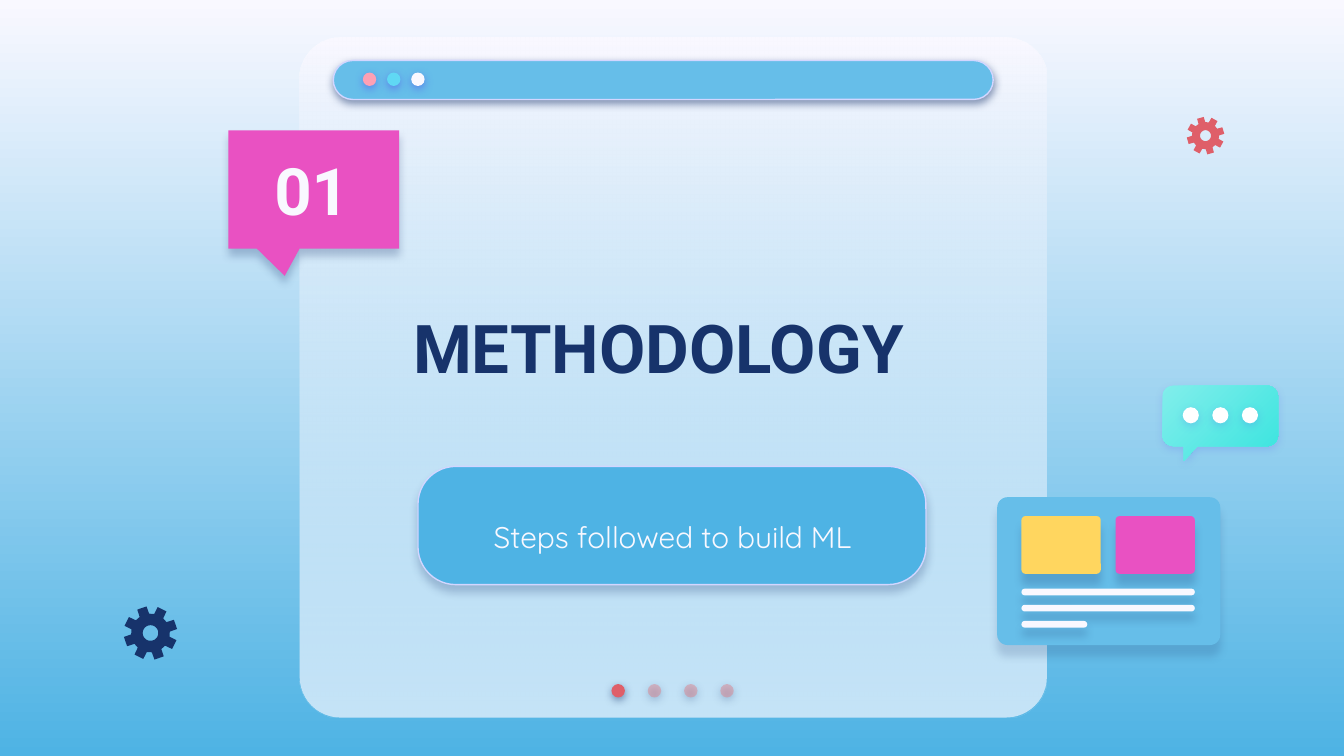
from math import cos, radians, sin

from lxml import etree
from pptx import Presentation
from pptx.dml.color import RGBColor
from pptx.enum.shapes import MSO_SHAPE
from pptx.enum.text import MSO_ANCHOR, MSO_AUTO_SIZE, PP_ALIGN
from pptx.oxml.ns import qn
from pptx.util import Inches, Pt

ROUNDED = MSO_SHAPE.ROUNDED_RECTANGLE
CALLOUT = MSO_SHAPE.ROUNDED_RECTANGULAR_CALLOUT
OVAL = MSO_SHAPE.OVAL
MIDDLE = MSO_ANCHOR.MIDDLE
BOTTOM = MSO_ANCHOR.BOTTOM
CENTER = PP_ALIGN.CENTER
FIXED = MSO_AUTO_SIZE.NONE

WHITE = "F9F8FF"
NAVY = "17336B"
SKY = "66BEE9"
BLUE = "4EB3E4"
RED = "DF5F69"
FADED_RED = "E27B83"
PINK = "E951C2"
VIOLET = "5352EE"


def color(value):
    return RGBColor.from_string(value)


def set_alpha(element, percent):
    for node in element.iter(qn("a:srgbClr")):
        etree.SubElement(node, qn("a:alpha"), val=str(percent * 1000))


def set_gradient(fill, start, end, angle=90):
    fill.gradient()
    fill.gradient_angle = 360 - angle
    for stop, value, position in zip(fill.gradient_stops, (start, end), (0, 1)):
        stop.color.rgb = color(value)
        stop.position = position


def write(frame, text, font, size, value, bold=False, anchor=MIDDLE):
    frame.auto_size = FIXED
    frame.word_wrap = True
    frame.vertical_anchor = anchor
    frame.margin_left = frame.margin_right = Inches(0.1)
    frame.margin_top = frame.margin_bottom = Inches(0.1)
    para = frame.paragraphs[0]
    para.alignment = CENTER
    span = para.add_run()
    span.text = text
    span.font.name = font
    span.font.size = Pt(size)
    span.font.bold = bold
    span.font.color.rgb = color(value)


def polar(center_x, center_y, radius, angle):
    turn = radians(angle)
    return center_x + radius * cos(turn), center_y + radius * sin(turn)


def arc(center_x, center_y, radius, start, end, steps=8):
    return [polar(center_x, center_y, radius, start + (end - start) * step / steps)
            for step in range(steps + 1)]


class Slide:
    """Hold the style and the current slide, with a method per element."""

    def __init__(self, deck):
        self.page = deck.slides.add_slide(deck.slide_layouts[5])
        self.shapes = self.page.shapes
        set_gradient(self.page.background.fill, WHITE, BLUE)

    def finish(self, shape, fill, line=None, shadow=None, alpha=None):
        if isinstance(fill, tuple):
            set_gradient(shape.fill, *fill)
        else:
            shape.fill.solid()
            shape.fill.fore_color.rgb = color(fill)
        if alpha is not None:
            set_alpha(shape.element.spPr.find(qn("a:solidFill")), alpha)
        if line:
            shape.line.color.rgb = color(line)
            shape.line.width = Pt(0.75)
        else:
            shape.line.fill.background()
        shape.shadow.inherit = False
        if shadow:
            value, percent, distance = shadow
            effects = shape.element.spPr.find(qn("a:effectLst"))
            outer = etree.SubElement(
                effects, qn("a:outerShdw"), blurRad=str(Pt(4.5)),
                dist=str(Pt(distance)), dir="5400000", algn="bl", rotWithShape="0")
            etree.SubElement(outer, qn("a:srgbClr"), val=value)
            set_alpha(outer, percent)
        return shape

    def preset(self, kind, left, top, width, height, fill, adjust=(), **style):
        shape = self.shapes.add_shape(
            kind, Inches(left), Inches(top), Inches(width), Inches(height))
        for index, value in enumerate(adjust):
            shape.adjustments[index] = value
        return self.finish(shape, fill, **style)

    def dots(self, left, top, size, step, fills, **style):
        for index, fill in enumerate(fills):
            self.preset(OVAL, left + index * step, top, size, size, fill, **style)

    def outline(self, contours, fill, **style):
        contours = [[(Inches(x), Inches(y)) for x, y in points] for points in contours]
        builder = self.shapes.build_freeform(*contours[0][0])
        builder.add_line_segments(contours[0][1:])
        for points in contours[1:]:
            builder.move_to(*points[0])
            builder.add_line_segments(points[1:])
        return self.finish(builder.convert_to_shape(), fill, **style)

    def gear(self, center_x, center_y, radius, turn, fill):
        tooth = ((-15, 0.72), (-10.5, 1), (10.5, 1), (15, 0.72))
        rim = [polar(center_x, center_y, radius * share, turn + index * 45 + offset)
               for index in range(8) for offset, share in tooth]
        hole = arc(center_x, center_y, radius * 0.29, 360, 0, 32)
        self.outline([rim, hole], fill)

    def bubble(self, left, top, right, bottom, radius, fill, **style):
        points = arc(left + radius, top + radius, radius, 180, 270)
        points += arc(right - radius, top + radius, radius, 270, 360)
        points += arc(right - radius, bottom - radius, radius, 0, 90)
        points += [(left + 0.26, bottom), (left + 0.16, bottom + 0.11), (left + 0.16, bottom)]
        points += arc(left + radius, bottom - radius, radius, 90, 180)
        self.outline([points], fill, **style)

    def title(self, left, top, width, height, text, **style):
        box = self.shapes.title
        box.left, box.top = Inches(left), Inches(top)
        box.width, box.height = Inches(width), Inches(height)
        write(box.text_frame, text, **style)
        box.element.getparent().append(box.element)

    def text(self, left, top, width, height, text, **style):
        box = self.shapes.add_textbox(
            Inches(left), Inches(top), Inches(width), Inches(height))
        write(box.text_frame, text, **style)


def main():
    deck = Presentation()
    deck.slide_width = Inches(10)
    deck.slide_height = deck.slide_width * 9 // 16
    slide = Slide(deck)
    near = (NAVY, 50, 1.5)

    panel = (ROUNDED, 2.23, 0.28, 5.56, 5.06)
    slide.preset(*panel, WHITE, [0.06])
    veil = slide.preset(*panel, (WHITE, SKY), [0.06])
    set_alpha(veil.element.spPr.find(".//" + qn("a:gs") + "[2]"), 35)
    slide.dots(4.55, 5.09, 0.1, 0, [RED], shadow=near)
    slide.dots(4.82, 5.09, 0.1, 0.27, [FADED_RED] * 3, shadow=near, alpha=44)

    slide.preset(ROUNDED, 2.48, 0.45, 4.91, 0.29, SKY, [0.5], line="D2D6FF", shadow=near)
    slide.dots(2.7, 0.54, 0.1, 0.18, ["FDA0B4", "60D8F4", WHITE], shadow=(VIOLET, 50, 1.5))

    slide.preset(CALLOUT, 1.7, 0.97, 1.27, 0.88, PINK, [-0.17, 0.73, 0],
                 shadow=(NAVY, 25, 3.8))
    slide.preset(ROUNDED, 3.11, 3.47, 3.78, 0.88, BLUE, [0.32], line="D2D6FF",
                 shadow=(NAVY, 24, 3.8))
    slide.title(2.49, 1.67, 4.82, 1.82, "METHODOLOGY",
                font="Roboto", size=36, value=NAVY, bold=True)
    slide.text(3.5, 3.6, 3.01, 0.78, "Steps followed to build ML",
               font="Quicksand", size=16, value=WHITE)

    slide.preset(ROUNDED, 7.42, 3.7, 1.66, 1.1, SKY, [0.07], shadow=(NAVY, 17, 6))
    for left, fill in ((7.6, "FFD65F"), (8.3, PINK)):
        slide.preset(ROUNDED, left, 3.84, 0.59, 0.43, fill, [0.07], shadow=(NAVY, 20, 6))
    for index, width in enumerate((1.29, 1.29, 0.49)):
        slide.preset(ROUNDED, 7.6, 4.38 + index * 0.12, width, 0.05, WHITE, [0.5],
                     shadow=(NAVY, 21, 4.5))

    glow = (VIOLET, 18, 1.5)
    slide.bubble(8.65, 2.87, 9.51, 3.32, 0.08, ("81EEEB", "3AE4DF", 45), shadow=glow)
    slide.dots(8.8, 3.03, 0.12, 0.22, ["FFFFFF"] * 3, shadow=glow)

    slide.gear(1.12, 4.71, 0.2, -109, NAVY)
    slide.gear(8.97, 1.01, 0.14, -106, RED)
    slide.text(1.79, 1.02, 1.06, 0.78, "01",
               font="Roboto", size=35, value=WHITE, bold=True, anchor=BOTTOM)
    deck.save("out.pptx")


if __name__ == "__main__":
    main()
